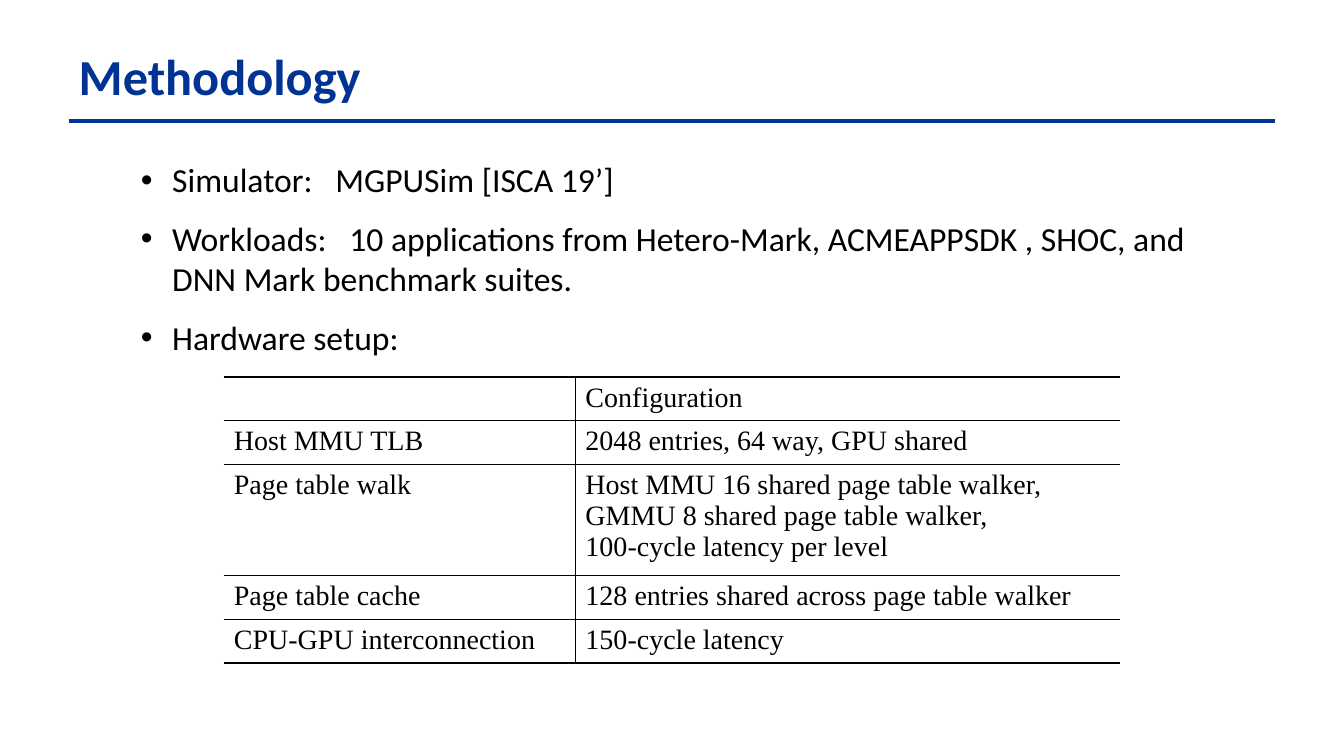
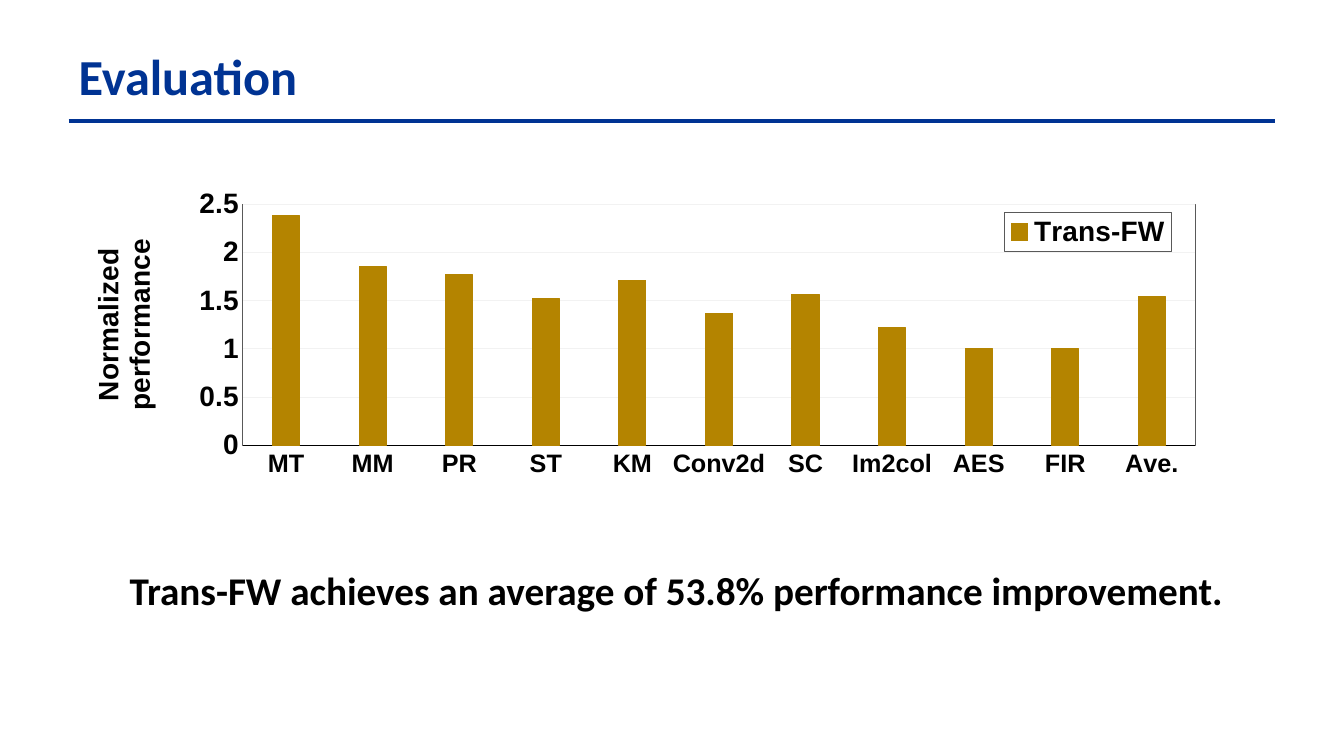
import dataclasses
import typing

import lxml.etree
import pptx
import pptx.chart.data
import pptx.dml.color
import pptx.enum.chart
import pptx.enum.shapes
import pptx.enum.text
import pptx.oxml.ns
import pptx.util

Cm = pptx.util.Cm
Pt = pptx.util.Pt
qn = pptx.oxml.ns.qn


@dataclasses.dataclass(frozen=True)
class Theme:
    navy: str = "003393"
    black: str = "000000"
    gold: str = "B48400"
    grid: str = "F2F2F2"
    frame: str = "595959"
    sans: str = "Calibri"
    serif: str = "Times New Roman"
    plain: str = "Arial"
    title: float = 36
    lead: float = 28
    body: float = 24
    cell: float = 20
    label: float = 18


@dataclasses.dataclass(frozen=True)
class Box:
    left: float
    top: float
    width: float
    height: float

    def place(self) -> tuple:
        return Cm(self.left), Cm(self.top), Cm(self.width), Cm(self.height)


@dataclasses.dataclass(frozen=True)
class Point:
    term: str
    text: str = ""


@dataclasses.dataclass(frozen=True)
class Row:
    name: str
    lines: tuple
    height: float = 1.1


THEME = Theme()
TITLE = Box(1.73, 1.02, 28.3, 1.8)
RULE = Box(1.73, 3.05, 30.4, 0)
TERM_GAP = 10.85  # extra points after a term
INDENT = 0.79

POINTS = (
    Point("Simulator:", "MGPUSim [ISCA 19’]"),
    Point("Workloads:", "10 applications from Hetero-Mark, ACMEAPPSDK , SHOC, and "
          "DNN Mark benchmark suites."),
    Point("Hardware setup:"),
)
ROWS = (
    Row("", ("Configuration",)),
    Row("Host MMU TLB", ("2048 entries, 64 way, GPU shared",)),
    Row("Page table walk", ("Host MMU 16 shared page table walker,",
                            "GMMU 8 shared page table walker,",
                            "100-cycle latency per level"), 2.8),
    Row("Page table cache", ("128 entries shared across page table walker",)),
    Row("CPU-GPU interconnection", ("150-cycle latency",)),
)
WIDTHS = (8.86, 13.72)
SPEEDS = {"MT": 2.38, "MM": 1.85, "PR": 1.77, "ST": 1.52, "KM": 1.71, "Conv2d": 1.37,
          "SC": 1.56, "Im2col": 1.22, "AES": 1, "FIR": 1, "Ave.": 1.54}


# Shared helpers
def color(code: str) -> pptx.dml.color.RGBColor:
    return pptx.dml.color.RGBColor.from_string(code)


def style(font: typing.Any, face: str, size: float, bold: bool = False,
          code: str = THEME.black) -> None:
    font.name, font.size, font.bold = face, Pt(size), bold
    font.color.rgb = color(code)


def add_run(para: typing.Any, text: str, face: str, size: float, bold: bool = False,
            code: str = THEME.black) -> typing.Any:
    run = para.add_run()
    run.text = text
    style(run.font, face, size, bold, code)
    return run


def add_node(parent: typing.Any, tag: str, **attrs: str) -> typing.Any:
    return lxml.etree.SubElement(parent, qn(tag), attrs)


def add_text(slide: typing.Any, box: Box) -> typing.Any:
    frame = slide.shapes.add_textbox(*box.place()).text_frame
    frame.word_wrap = True
    return frame


def add_page(deck: typing.Any, title: str) -> typing.Any:
    slide = deck.slides.add_slide(deck.slide_layouts[5])
    # Rule below the title
    rule = slide.shapes.add_connector(
        pptx.enum.shapes.MSO_CONNECTOR.STRAIGHT, Cm(RULE.left), Cm(RULE.top),
        Cm(RULE.left + RULE.width), Cm(RULE.top))
    rule.line.color.rgb = color(THEME.navy)
    rule.line.width = Pt(3.25)
    add_node(rule.element.spPr, "a:effectLst")
    # Title
    head = slide.shapes.title
    head.left, head.top, head.width, head.height = TITLE.place()
    frame = head.text_frame
    frame.auto_size = pptx.enum.text.MSO_AUTO_SIZE.NONE
    frame.vertical_anchor = pptx.enum.text.MSO_ANCHOR.TOP
    para = frame.paragraphs[0]
    para.alignment = pptx.enum.text.PP_ALIGN.LEFT
    add_run(para, title, THEME.sans, THEME.title, True, THEME.navy)
    return slide


# Bullets and table
def add_points(slide: typing.Any, box: Box, points: tuple) -> None:
    frame = add_text(slide, box)
    for index, point in enumerate(points):
        para = frame.add_paragraph() if index else frame.paragraphs[0]
        para.space_before = Pt(13 if index else 0)
        props = para._p.get_or_add_pPr()
        props.set("marL", str(Cm(INDENT)))
        props.set("indent", str(-Cm(INDENT)))
        add_node(props, "a:buFont", typeface=THEME.plain)
        add_node(props, "a:buChar", char="•")
        add_run(para, point.term, THEME.sans, THEME.body)
        if point.text:
            gap = add_run(para, " ", THEME.sans, THEME.body)
            gap.font._element.set("spc", str(round(TERM_GAP * 100)))
            add_run(para, point.text, THEME.sans, THEME.body)


def set_edges(cell: typing.Any, shown: str) -> None:
    props = cell._tc.get_or_add_tcPr()
    for index, side in enumerate("LRTB"):
        edge = add_node(props, f"a:ln{side}", w=str(Pt(1)))
        if side in shown:
            fill = add_node(edge, "a:solidFill")
            add_node(fill, "a:srgbClr", val=THEME.black)
        else:
            add_node(edge, "a:noFill")
        props.insert(index, edge)


def add_grid(slide: typing.Any, left: float, top: float, rows: tuple) -> None:
    box = Box(left, top, sum(WIDTHS), sum(row.height for row in rows))
    table = slide.shapes.add_table(len(rows), len(WIDTHS), *box.place()).table
    table.first_row = table.horz_banding = False
    for column, width in zip(table.columns, WIDTHS):
        column.width = Cm(width)
    for line, row in zip(table.rows, rows):
        line.height = Cm(row.height)
        for cell, texts, edges in zip(line.cells, ((row.name,), row.lines), ("RTB", "LTB")):
            cell.fill.background()
            set_edges(cell, edges)
            frame = cell.text_frame
            for index, text in enumerate(texts):
                para = frame.add_paragraph() if index else frame.paragraphs[0]
                add_run(para, text, THEME.serif, THEME.cell)


# Chart
def set_layout(parent: typing.Any, after: typing.Optional[str], inner: bool = False,
               **place: float) -> None:
    for old in parent.findall(qn("c:layout")):
        parent.remove(old)
    layout = add_node(parent, "c:layout")
    manual = add_node(layout, "c:manualLayout")
    if inner:
        add_node(manual, "c:layoutTarget", val="inner")
    for axis in "xy":
        add_node(manual, f"c:{axis}Mode", val="edge")
    for key, value in place.items():
        add_node(manual, f"c:{key}", val=str(value))
    parent.insert(parent.index(parent.find(qn(after))) + 1 if after else 0, layout)


def add_frame(parent: typing.Any) -> typing.Any:
    props = add_node(parent, "c:spPr")
    add_node(props, "a:noFill")
    line = add_node(props, "a:ln", w=str(Pt(0.75)))
    fill = add_node(line, "a:solidFill")
    add_node(fill, "a:srgbClr", val=THEME.frame)
    return props


def add_bars(slide: typing.Any, box: Box) -> None:
    kinds = pptx.enum.chart
    data = pptx.chart.data.CategoryChartData()
    data.categories = list(SPEEDS)
    data.add_series("Trans-FW", list(SPEEDS.values()))
    chart = slide.shapes.add_chart(
        kinds.XL_CHART_TYPE.COLUMN_CLUSTERED, *box.place(), data).chart
    chart.has_title = False
    style(chart.font, THEME.plain, 16, True)

    # Bars
    plot = chart.plots[0]
    plot.gap_width, plot.overlap, plot.vary_by_categories = 219, -27, False
    bars = plot.series[0].format
    bars.fill.solid()
    bars.fill.fore_color.rgb = color(THEME.gold)
    bars.line.color.rgb = color(THEME.gold)
    bars.line.width = Pt(0.75)
    area = chart.element.find(".//" + qn("c:plotArea"))
    set_layout(area, None, inner=True, x=0.16, y=0.06, w=0.8, h=0.61)
    add_frame(area)

    # Axes
    names, scale = chart.category_axis, chart.value_axis
    for axis, size in ((names, THEME.label), (scale, THEME.cell)):
        axis.major_tick_mark = axis.minor_tick_mark = kinds.XL_TICK_MARK.NONE
        style(axis.tick_labels.font, THEME.plain, size, True)
    names.format.line.color.rgb = color(THEME.black)
    names.format.line.width = Pt(0.75)
    scale.format.line.fill.background()
    scale.minimum_scale, scale.maximum_scale, scale.major_unit = 0, 2.5, 0.5
    lines = scale.major_gridlines.format.line
    lines.color.rgb = color(THEME.grid)
    lines.width = Pt(0.75)
    title = scale.axis_title
    frame = title.text_frame
    for index, word in enumerate(("Normalized", "performance")):
        para = frame.add_paragraph() if index else frame.paragraphs[0]
        style(para.font, THEME.plain, THEME.cell, True)
        add_run(para, word, THEME.plain, THEME.cell, True)
    turn = frame._txBody.find(qn("a:bodyPr"))
    turn.set("rot", "-5400000")
    turn.set("vert", "horz")
    set_layout(title.element, "c:tx", x=0.03, y=0.14)

    # Legend
    chart.has_legend = True
    legend = chart.legend
    legend.position = kinds.XL_LEGEND_POSITION.BOTTOM
    legend.include_in_layout = False
    style(legend.font, THEME.plain, THEME.cell, True)
    root = legend._element
    set_layout(root, "c:legendPos", x=0.8, y=0.08, w=0.14, h=0.1)
    border = add_frame(root)
    root.find(qn("c:overlay")).addnext(border)


def main() -> None:
    deck = pptx.Presentation()
    deck.slide_width, deck.slide_height = Cm(33.87), Cm(19.05)

    # Methodology
    slide = add_page(deck, "Methodology")
    add_points(slide, Box(3.3, 3.89, 27.91, 8.38), POINTS)
    add_grid(slide, 5.64, 9.5, ROWS)

    # Evaluation
    slide = add_page(deck, "Evaluation")
    add_bars(slide, Box(1.32, 4.55, 30, 9.96))
    para = add_text(slide, Box(3.02, 14.15, 30.25, 2.64)).paragraphs[0]
    add_run(para, "Trans-FW achieves an average of 53.8% performance improvement.",
            THEME.sans, THEME.lead, True)

    deck.save("out.pptx")


if __name__ == "__main__":
    main()
